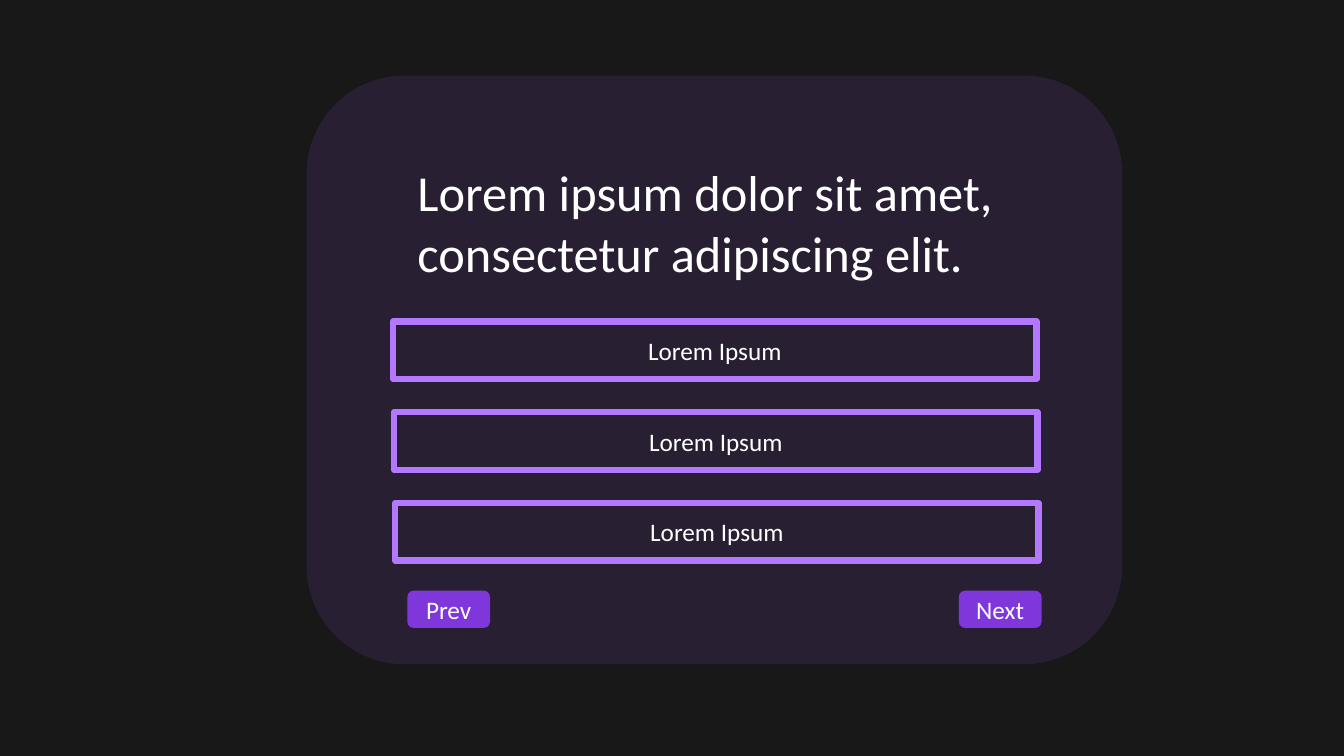
from pptx import Presentation
from pptx.dml.color import RGBColor
from pptx.enum import shapes, text
from pptx.util import Inches, Pt

COLORS = {
    "back": "181818",
    "card": "281F32",
    "edge": "B378FF",
    "button": "7F36DB",
    "text": "FFFFFF",
}
KIND = shapes.MSO_SHAPE


def color(name):
    return RGBColor.from_string(COLORS[name])


class Quiz:
    """Holds the style and the current slide."""

    font = "Calibri"

    def __init__(self, slide):
        self.slide = slide
        fill = slide.background.fill
        fill.solid()
        fill.fore_color.rgb = color("back")

    def label(self, shape, words, size, align, anchor):
        frame = shape.text_frame
        frame.text = words
        frame.word_wrap = True
        frame.vertical_anchor = anchor
        para = frame.paragraphs[0]
        para.alignment = align
        para.font.name = self.font
        para.font.size = Pt(size)
        para.font.color.rgb = color("text")

    def title(self, words, *box):
        shape = self.slide.shapes.title
        shape.left, shape.top, shape.width, shape.height = map(Inches, box)
        self.label(shape, words, 36, text.PP_ALIGN.LEFT, text.MSO_ANCHOR.TOP)
        shape.text_frame.paragraphs[0].line_spacing = 1.0
        shape.text_frame.auto_size = text.MSO_AUTO_SIZE.SHAPE_TO_FIT_TEXT
        # Bring the title in front of the card
        self.slide.shapes[-1].element.addnext(shape.element)

    def shape(self, kind, *box, fill=None, line=None, words=None):
        shape = self.slide.shapes.add_shape(kind, *map(Inches, box))
        shape.shadow.inherit = False
        if fill:
            shape.fill.solid()
            shape.fill.fore_color.rgb = color(fill)
        else:
            shape.fill.background()
        if line:
            shape.line.color.rgb = color(line)
            shape.line.width = Pt(4.5)
        else:
            shape.line.fill.background()
        if words:
            self.label(shape, words, 18, text.PP_ALIGN.CENTER,
                       text.MSO_ANCHOR.MIDDLE)

    def card(self, *box):
        self.shape(KIND.ROUNDED_RECTANGLE, *box, fill="card")

    def answer(self, words, *box):
        self.shape(KIND.RECTANGLE, *box, line="edge", words=words)

    def button(self, words, *box):
        self.shape(KIND.ROUNDED_RECTANGLE, *box, fill="button", words=words)


def main():
    deck = Presentation()
    deck.slide_width, deck.slide_height = Inches(13.33), Inches(7.5)
    quiz = Quiz(deck.slides.add_slide(deck.slide_layouts[5]))

    # Card and question
    quiz.card(3.04, 0.75, 8.09, 5.84)
    quiz.title("Lorem ipsum dolor sit amet, consectetur adipiscing elit.",
               4.04, 1.55, 6.38, 1.31)

    # Answers, each a little further right
    for row in range(3):
        quiz.answer("Lorem Ipsum", 3.9 + 0.01 * row, 3.19 + 0.9 * row,
                    6.38, 0.57)

    # Navigation
    for words, left in (("Prev", 4.04), ("Next", 9.51)):
        quiz.button(words, left, 5.86, 0.82, 0.37)

    deck.save("out.pptx")


if __name__ == "__main__":
    main()
